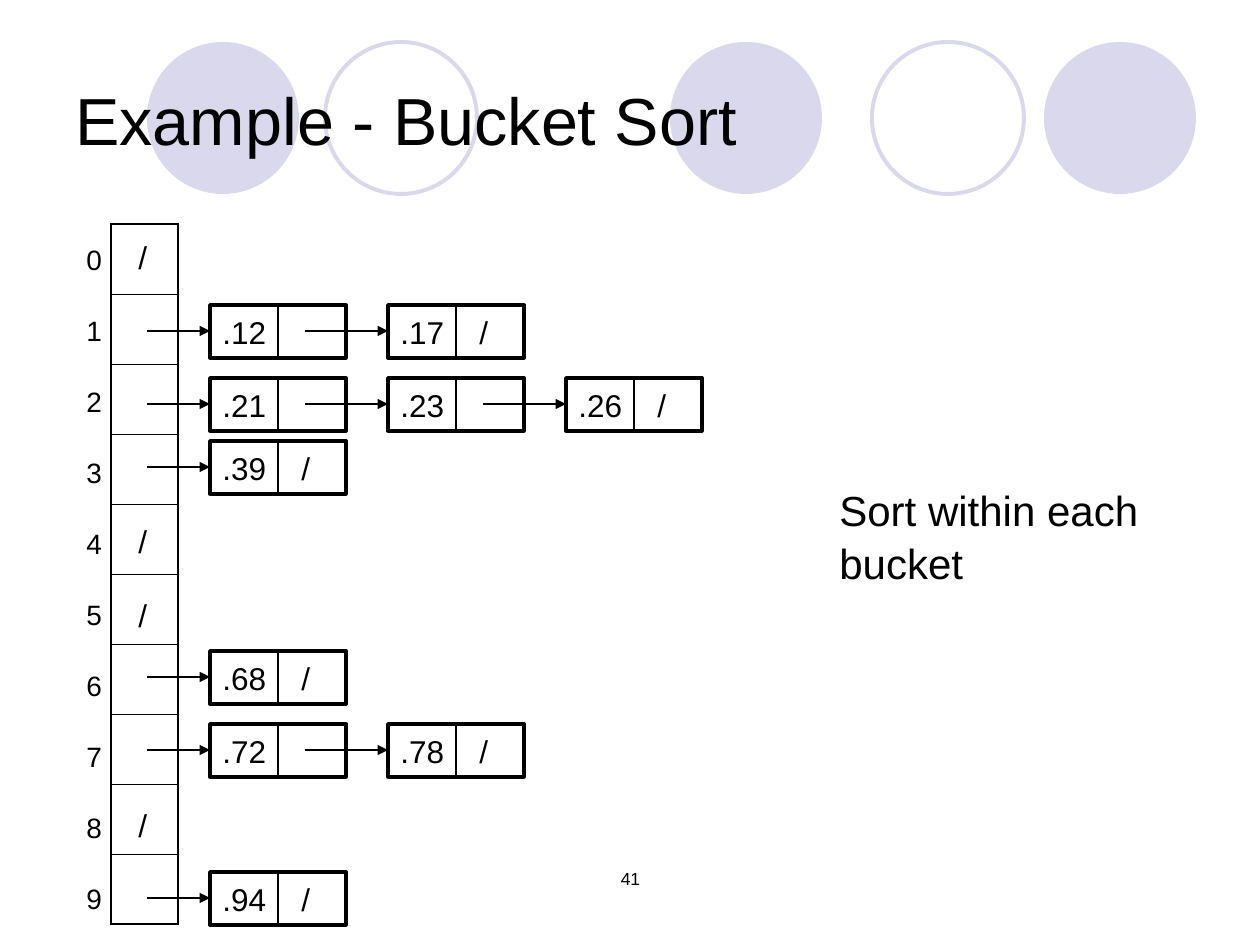
"""Builds the bucket sort slide: an array of buckets with sorted linked lists."""
from dataclasses import dataclass

from lxml import etree
from pptx import Presentation
from pptx import util as u
from pptx.dml.color import RGBColor
from pptx.enum import shapes, text
from pptx.oxml import ns

BLACK = RGBColor(0x00, 0x00, 0x00)
LAVENDER = RGBColor(0xD9, 0xD8, 0xEC)
FONT = "Arial"
EMU_PER_PX = 914400 / 126
CIRCLE_SIZE, CIRCLE_TOP = 152, 42
BUCKET_COUNT, ARRAY_LEFT, ARRAY_TOP, ARRAY_WIDTH, BUCKET_HEIGHT = 10, 111, 224, 67, 70
NODE_LEFT, NODE_PITCH, NODE_WIDTH, NODE_HEIGHT = 210, 178, 136, 53
LINK_TAB = 79


@dataclass(frozen=True)
class Circle:
    left: int
    filled: bool


@dataclass(frozen=True)
class Chain:
    top: int
    keys: tuple[str, ...]


@dataclass(frozen=True)
class Label:
    left: int
    top: int
    width: int
    height: int
    lines: tuple[str, ...]
    size: int
    align: text.PP_ALIGN = text.PP_ALIGN.LEFT
    anchor: text.MSO_ANCHOR = text.MSO_ANCHOR.TOP
    wrap: bool = True


CIRCLES = (Circle(670, True), Circle(1044, True), Circle(147, True),
           Circle(872, False), Circle(325, False))
CHAINS = (
    Chain(305, (".12", ".17")),
    Chain(378, (".21", ".23", ".26")),
    Chain(441, (".39",)),
    Chain(651, (".68",)),
    Chain(724, (".72", ".78")),
    Chain(872, (".94",)),
)
EMPTY_MARK_TOPS = (230, 514, 588, 798)
LABELS = (
    Label(431, 861, 399, 63, ("41",), 10, align=text.PP_ALIGN.CENTER),
    Label(63, 38, 1134, 158, ("Example - Bucket Sort",), 38,
          anchor=text.MSO_ANCHOR.MIDDLE),
    Label(827, 475, 324, 113, ("Sort within each", "bucket"), 24, wrap=False),
    *(Label(74, 234 + 71 * index, 40, 47, (str(index),), 16, wrap=False)
      for index in range(BUCKET_COUNT)),
    *(Label(126, top, 34, 50, ("/",), 18, wrap=False) for top in EMPTY_MARK_TOPS),
)


def px(length: int) -> u.Emu:
    return u.Emu(round(length * EMU_PER_PX))


def add_run(paragraph, words: str, size: int) -> None:
    run = paragraph.add_run()
    run.text = words
    run.font.size = u.Pt(size)
    run.font.name = FONT
    run.font.color.rgb = BLACK


def draw_circle(slide, circle: Circle) -> None:
    disc = slide.shapes.add_shape(shapes.MSO_SHAPE.OVAL, px(circle.left), px(CIRCLE_TOP),
                                  px(CIRCLE_SIZE), px(CIRCLE_SIZE))
    disc.shadow.inherit = False
    if circle.filled:
        disc.fill.solid()
        disc.fill.fore_color.rgb = LAVENDER
        disc.line.fill.background()
    else:
        disc.fill.background()
        disc.line.color.rgb = LAVENDER
        disc.line.width = u.Pt(2.25)


def draw_label(slide, label: Label) -> None:
    box = slide.shapes.add_textbox(px(label.left), px(label.top),
                                   px(label.width), px(label.height))
    frame = box.text_frame
    frame.word_wrap = label.wrap
    frame.vertical_anchor = label.anchor
    for index, line in enumerate(label.lines):
        paragraph = frame.add_paragraph() if index else frame.paragraphs[0]
        paragraph.alignment = label.align
        paragraph.line_spacing = 1.06
        add_run(paragraph, line, label.size)


def draw_line(slide, start: tuple[int, int], end: tuple[int, int],
              arrow: bool = False) -> None:
    line = slide.shapes.add_connector(shapes.MSO_CONNECTOR.STRAIGHT,
                                      px(start[0]), px(start[1]), px(end[0]), px(end[1]))
    line.line.color.rgb = BLACK
    line.line.width = u.Pt(0.75)
    if arrow:
        etree.SubElement(line.line._get_or_add_ln(), ns.qn("a:tailEnd"), type="triangle")
    etree.SubElement(line._element.spPr, ns.qn("a:effectLst"))


def draw_node(slide, left: int, top: int, key: str, last: bool) -> None:
    node = slide.shapes.add_shape(shapes.MSO_SHAPE.RECTANGLE, px(left), px(top),
                                  px(NODE_WIDTH), px(NODE_HEIGHT))
    node.shadow.inherit = False
    node.fill.background()
    node.line.color.rgb = BLACK
    node.line.width = u.Pt(2)
    node.text_frame.vertical_anchor = text.MSO_ANCHOR.MIDDLE
    paragraph = node.text_frame.paragraphs[0]
    paragraph.alignment = text.PP_ALIGN.LEFT
    if last:
        tabs = etree.SubElement(paragraph._p.get_or_add_pPr(), ns.qn("a:tabLst"))
        etree.SubElement(tabs, ns.qn("a:tab"), pos=str(px(LINK_TAB)), algn="l")
    add_run(paragraph, f"{key}\t/" if last else key, 18)
    middle = left + NODE_WIDTH // 2
    draw_line(slide, (middle, top), (middle, top + NODE_HEIGHT))


def draw_chain(slide, chain: Chain) -> None:
    link_start = 147
    link_y = chain.top + NODE_HEIGHT // 2
    for index, key in enumerate(chain.keys):
        left = NODE_LEFT + NODE_PITCH * index
        draw_node(slide, left, chain.top, key, last=index == len(chain.keys) - 1)
        draw_line(slide, (link_start, link_y), (left, link_y), arrow=True)
        link_start = left + 95


def set_border(cell, side: str, points: float) -> None:
    border = etree.SubElement(cell._tc.get_or_add_tcPr(), ns.qn(f"a:{side}"),
                              w=str(u.Pt(points)))
    fill = etree.SubElement(border, ns.qn("a:solidFill"))
    etree.SubElement(fill, ns.qn("a:srgbClr"), val=str(BLACK))


def draw_bucket_array(slide) -> None:
    buckets = slide.shapes.add_table(BUCKET_COUNT, 1, px(ARRAY_LEFT), px(ARRAY_TOP),
                                     px(ARRAY_WIDTH), px(BUCKET_HEIGHT * BUCKET_COUNT)).table
    buckets.first_row = buckets.horz_banding = False
    for index, row in enumerate(buckets.rows):
        row.height = px(BUCKET_HEIGHT)
        bucket = row.cells[0]
        set_border(bucket, "lnL", 1.08)
        set_border(bucket, "lnR", 1.08)
        set_border(bucket, "lnT", 1.08 if index == 0 else 0.45)
        set_border(bucket, "lnB", 1.08 if index == BUCKET_COUNT - 1 else 0.45)
        bucket.fill.background()


def main() -> None:
    deck = Presentation()
    deck.slide_width, deck.slide_height = px(1260), px(945)
    slide = deck.slides.add_slide(deck.slide_layouts[6])
    for circle in CIRCLES:
        draw_circle(slide, circle)
    draw_bucket_array(slide)
    for chain in CHAINS:
        draw_chain(slide, chain)
    for label in LABELS:
        draw_label(slide, label)
    deck.save("out.pptx")


if __name__ == "__main__":
    main()
